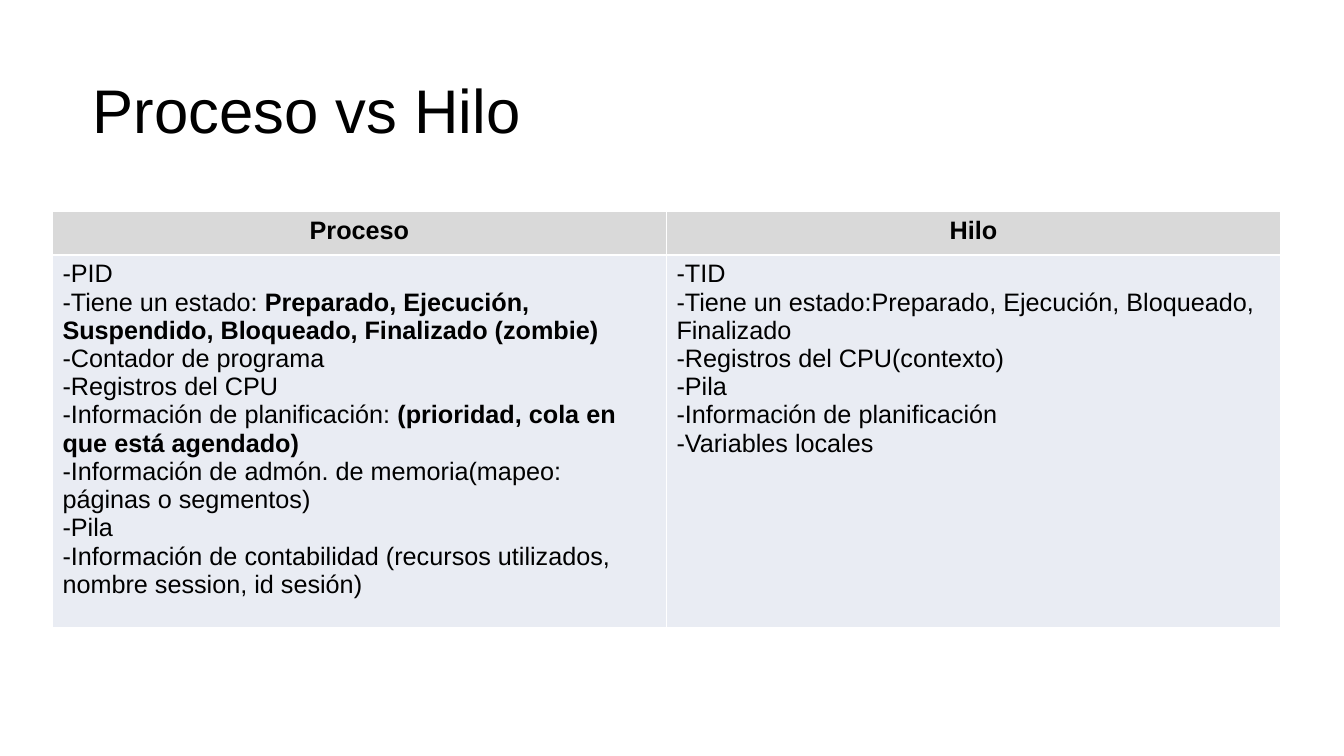
import pptx
import pptx.dml.color
import pptx.enum.text
import pptx.oxml
import pptx.oxml.ns
import pptx.util
from pptx.util import Inches

ALIGN = pptx.enum.text.PP_ALIGN
ANCHOR = pptx.enum.text.MSO_ANCHOR

HEADERS = ["Proceso", "Hilo"]
PROCESS = [
    ("-PID", ""),
    ("-Tiene un estado: ", "Preparado, Ejecución, Suspendido, Bloqueado, Finalizado (zombie)"),
    ("-Contador de programa", ""),
    ("-Registros del CPU", ""),
    ("-Información de planificación: ", "(prioridad, cola en que está agendado)"),
    ("-Información de admón. de memoria(mapeo: páginas o segmentos)", ""),
    ("-Pila", ""),
    ("-Información de contabilidad (recursos utilizados, nombre session, id sesión)", ""),
]
THREAD = [
    ("-TID", ""),
    ("-Tiene un estado:Preparado, Ejecución, Bloqueado, Finalizado", ""),
    ("-Registros del CPU(contexto)", ""),
    ("-Pila", ""),
    ("-Información de planificación", ""),
    ("-Variables locales", ""),
]


def rgb(value):
    """Turn a hex string into a colour."""
    return pptx.dml.color.RGBColor.from_string(value)


def add_run(p, text, size, bold=False):
    """Append a formatted run to a paragraph."""
    r = p.add_run()
    r.text = text
    r.font.name = "Arial"
    r.font.size = pptx.util.Pt(size)
    r.font.bold = bold
    r.font.color.rgb = rgb("000000")


def add_title(s, text):
    """Add the slide title."""
    sp = s.shapes.add_textbox(Inches(0.92), Inches(0.4), Inches(11.5), Inches(1.45))
    tf = sp.text_frame
    tf.word_wrap = True
    tf.vertical_anchor = ANCHOR.MIDDLE
    tf.margin_left = tf.margin_right = tf.margin_top = tf.margin_bottom = 0
    p = tf.paragraphs[0]
    p.line_spacing = 0.9
    add_run(p, text, 44)


def set_borders(cell, color, width):
    """Draw the four borders of a cell."""
    tc_pr = cell._tc.get_or_add_tcPr()
    for i, side in enumerate(["lnL", "lnR", "lnT", "lnB"]):
        tc_pr.insert(i, pptx.oxml.parse_xml(
            f'<a:{side} {pptx.oxml.ns.nsdecls("a")} w="{pptx.util.Pt(width)}">'
            f'<a:solidFill><a:srgbClr val="{color}"/></a:solidFill></a:{side}>'))


def fill_cell(cell, lines, fill, align=ALIGN.LEFT):
    """Write (plain, bold) lines into a cell and colour it."""
    cell.fill.solid()
    cell.fill.fore_color.rgb = rgb(fill)
    set_borders(cell, "FFFFFF", 0.96)
    tf = cell.text_frame
    for i, (plain, bold) in enumerate(lines):
        p = tf.add_paragraph() if i else tf.paragraphs[0]
        p.alignment = align
        if plain:
            add_run(p, plain, 18)
        if bold:
            add_run(p, bold, 18, True)


def add_comparison(s):
    """Add the table that compares processes and threads."""
    table = s.shapes.add_table(
        2, 2, Inches(0.52), Inches(2.1), Inches(12.18), Inches(3.8)).table
    table.rows[0].height = Inches(0.43)
    table.rows[1].height = Inches(3.37)
    for col, (header, lines) in enumerate(zip(HEADERS, [PROCESS, THREAD])):
        table.columns[col].width = Inches(6.09)
        fill_cell(table.cell(0, col), [("", header)], "D9D9D9", ALIGN.CENTER)
        fill_cell(table.cell(1, col), lines, "E9ECF3")


def main():
    """Build and save the slide."""
    prs = pptx.Presentation()
    prs.slide_width = Inches(13.33)
    prs.slide_height = Inches(7.5)
    s = prs.slides.add_slide(prs.slide_layouts[6])
    add_title(s, "Proceso vs Hilo")
    add_comparison(s)
    prs.save("out.pptx")


if __name__ == "__main__":
    main()
